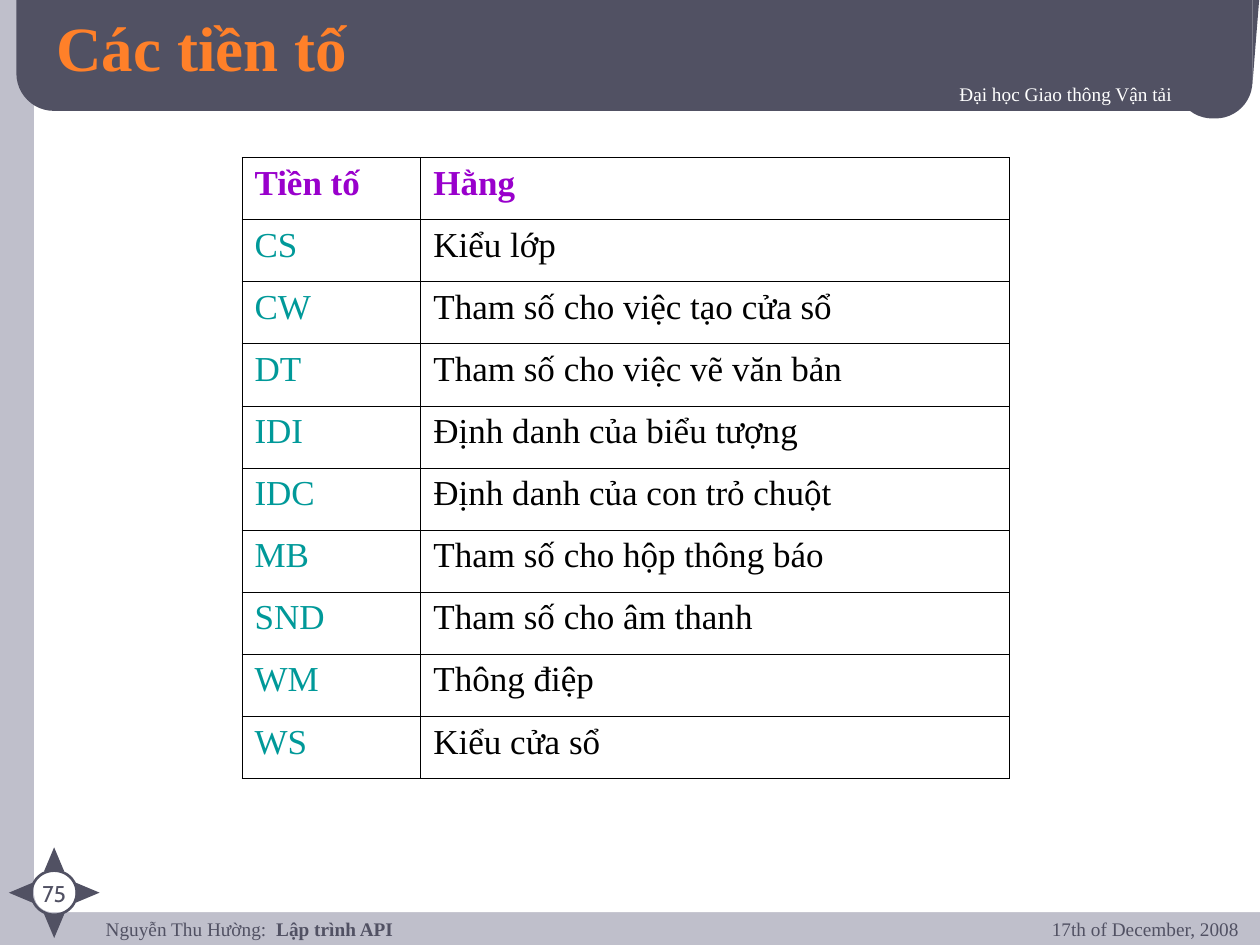
from pptx import Presentation
from pptx.dml.color import RGBColor
from pptx.enum.shapes import MSO_SHAPE
from pptx.enum.text import MSO_ANCHOR, PP_ALIGN
from pptx.oxml import parse_xml
from pptx.oxml.ns import nsdecls
from pptx.util import Inches, Pt

SLATE = RGBColor(0x51, 0x51, 0x63)
LILAC = RGBColor(0xBF, 0xBF, 0xCB)
WHITE = RGBColor(0xFF, 0xFF, 0xFF)
BLACK = RGBColor(0x00, 0x00, 0x00)
ORANGE = RGBColor(0xFF, 0x80, 0x29)
PURPLE = RGBColor(0x99, 0x00, 0xCC)
TEAL = RGBColor(0x00, 0x99, 0x99)
SERIF = "Times New Roman"

deck = Presentation()
deck.slide_width, deck.slide_height = Inches(10), Inches(7.5)
slide = deck.slides.add_slide(deck.slide_layouts[6])
slide.background.fill.solid()
slide.background.fill.fore_color.rgb = LILAC

# Grid of 100 columns by 75 rows
COL = deck.slide_width / 100
ROW = deck.slide_height / 75


def block(kind, x, y, w, h, color=None):
    item = slide.shapes.add_shape(
        kind, int(x * COL), int(y * ROW), int(w * COL), int(h * ROW))
    item.shadow.inherit = False
    item.line.fill.background()
    if color is None:
        item.fill.background()
    else:
        item.fill.solid()
        item.fill.fore_color.rgb = color
    return item


def label(x, y, w, h, runs, size, color, align=PP_ALIGN.LEFT, font=SERIF, shade=False):
    box = slide.shapes.add_textbox(
        int(x * COL), int(y * ROW), int(w * COL), int(h * ROW))
    frame = box.text_frame
    frame.word_wrap = True
    para = frame.paragraphs[0]
    para.alignment = align
    for words, bold in runs:
        run = para.add_run()
        run.text = words
        run.font.size, run.font.bold, run.font.name = Pt(size), bold, font
        run.font.color.rgb = color
        if shade:
            fill = run.font._element.find("{*}solidFill")
            fill.addnext(parse_xml(
                f'<a:effectLst {nsdecls("a")}><a:outerShdw dist="17961" dir="2700000">'
                '<a:srgbClr val="000000"/></a:outerShdw></a:effectLst>'))
    return frame


# White page and dark header
page = block(MSO_SHAPE.ROUNDED_RECTANGLE, 2.7, -1.3, 100.1, 73.7, WHITE)
page.adjustments[0] = 0.02
band = block(MSO_SHAPE.ROUNDED_RECTANGLE, 1.3, -3.6, 98.1, 12.4, SLATE)
band.adjustments[0] = 0.24
knob = block(MSO_SHAPE.ROUNDED_RECTANGLE, 93.3, 2.9, 6.1, 6.5, SLATE)
knob.adjustments[0] = 0.48
wedge = block(MSO_SHAPE.RIGHT_TRIANGLE, 99.4, -0.8, 0.6, 7.5, SLATE)
wedge.rotation = 180
wedge._element.spPr.xfrm.set("flipH", "1")

# Compass with the page number
MID_X, MID_Y, REACH = 4.3, 70.85, 2.65
label(1.4, 69.3, 5.8, 2.2, [("75", False)], 13, SLATE, PP_ALIGN.CENTER, "Cabin")
ring = block(MSO_SHAPE.OVAL, MID_X - 1.8, MID_Y - 1.75, 3.6, 3.5)
ring.line.color.rgb = SLATE
ring.line.width = Pt(1.5)
for turn, dx, dy in [(0, 0, -1), (90, 1, 0), (180, 0, 1), (270, -1, 0)]:
    point = block(MSO_SHAPE.ISOSCELES_TRIANGLE, MID_X + dx * REACH - 0.8,
                  MID_Y + dy * REACH - 0.95, 1.6, 1.9, SLATE)
    point.rotation = turn

# Title, school and footer
title = label(3.5, 0.8, 83.6, 5.7, [("Các tiền tố", True)], 36, ORANGE, shade=True)
title.vertical_anchor = MSO_ANCHOR.MIDDLE
label(30.3, 6, 63.7, 3.8, [("Đại học Giao thông Vận tải", False)], 11, WHITE,
      PP_ALIGN.RIGHT, shade=True)
foot = label(7.4, 72.8, 77.4, 3.3,
             [("Nguyễn Thu Hường:\u00a0 ".replace("\u00a0", " "), False),
              ("Lập trình API", True)], 11, SLATE)
foot.margin_top = foot.margin_bottom = 0
label(75.2, 72.3, 24.1, 4.2, [("17th of December, 2008", False)], 11, SLATE,
      PP_ALIGN.RIGHT)

# Table of prefixes
rows = [
    ("Tiền tố", "Hằng"),
    ("CS", "Kiểu lớp"),
    ("CW", "Tham số cho việc tạo cửa sổ"),
    ("DT", "Tham số cho việc vẽ văn bản"),
    ("IDI", "Định danh của biểu tượng"),
    ("IDC", "Định danh của con trỏ chuột"),
    ("MB", "Tham số cho hộp thông báo"),
    ("SND", "Tham số cho âm thanh"),
    ("WM", "Thông điệp"),
    ("WS", "Kiểu cửa sổ"),
]
table = slide.shapes.add_table(
    len(rows), 2, int(19.2 * COL), int(12.5 * ROW),
    int(60.9 * COL), int(49.3 * ROW)).table
table.first_row = table.horz_banding = False
table.columns[0].width, table.columns[1].width = int(14.2 * COL), int(46.7 * COL)
for r, row in enumerate(rows):
    for c, words in enumerate(row):
        cell = table.cell(r, c)
        cell.text_frame.text = words
        font = cell.text_frame.paragraphs[0].runs[0].font
        font.name, font.size, font.bold = SERIF, Pt(20), r == 0
        font.color.rgb = PURPLE if r == 0 else (TEAL, BLACK)[c]
        cell.fill.background()
        props = cell._tc.get_or_add_tcPr()
        for at, side in enumerate(("lnL", "lnR", "lnT", "lnB")):
            props.insert(at, parse_xml(
                f'<a:{side} {nsdecls("a")} w="{Pt(0.45)}"><a:solidFill>'
                f'<a:srgbClr val="{BLACK}"/></a:solidFill></a:{side}>'))

deck.save("out.pptx")
